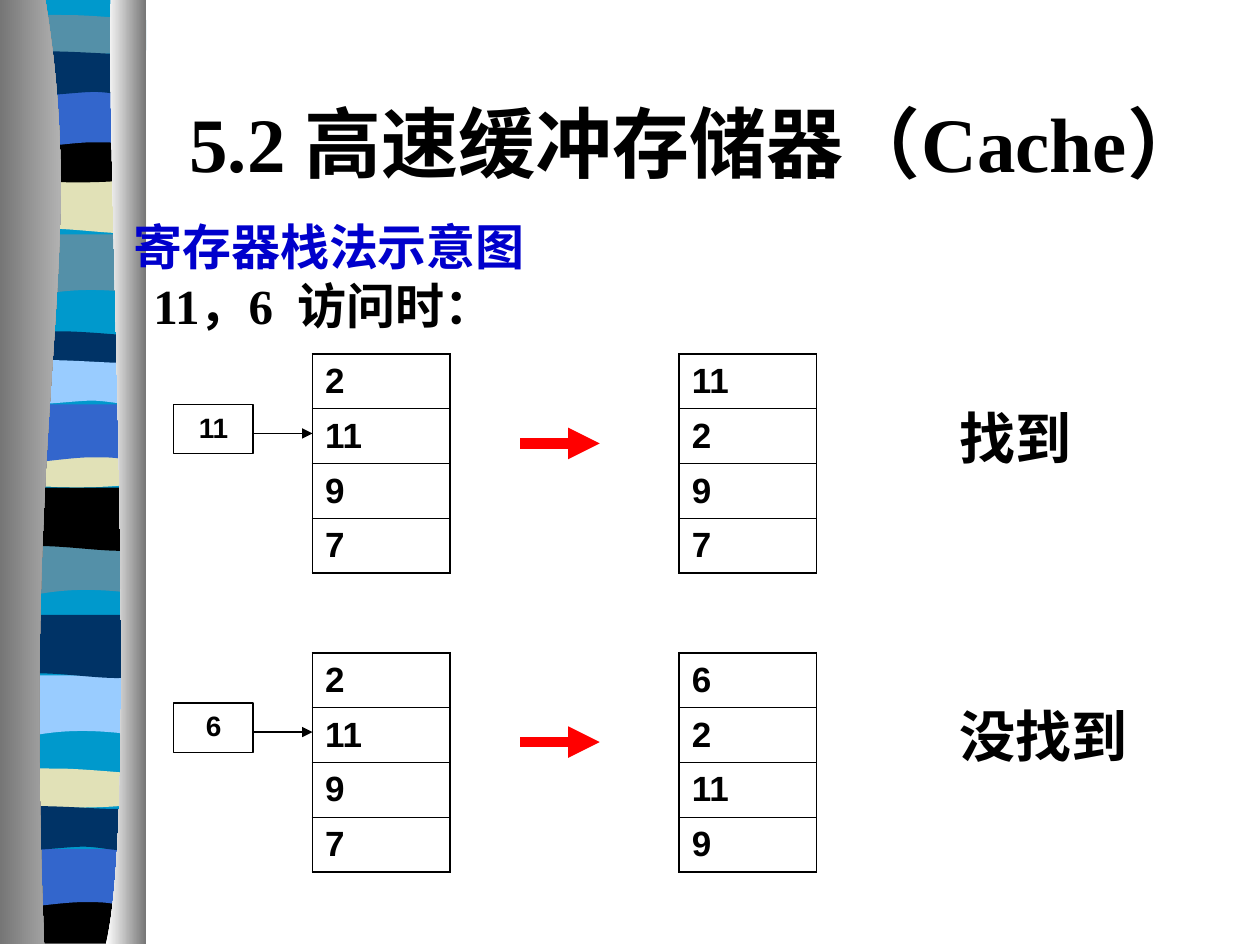
from lxml.etree import Element, SubElement
from pptx import Presentation
from pptx.dml.color import RGBColor as RGB
from pptx.enum.shapes import MSO_CONNECTOR as CONNECTOR, MSO_SHAPE as SHAPE
from pptx.enum.text import MSO_ANCHOR as ANCHOR, PP_ALIGN as ALIGN
from pptx.oxml.ns import qn
from pptx.util import Inches, Pt

THEME = {
    "ink": "000000", "heading": "0000CC", "arrow": "FF0000",
    "aqua": "0099CC", "steel": "5490A8", "sand": "E1E1B7", "black": "000000",
    "blue": "3366CC", "navy": "003366", "sky": "99CCFF",
    "shade": "767676", "glow": "D0D0D0", "light": "FFFFFF",
    "serif": "Times New Roman", "sans": "Arial",
    "title": 44, "subtitle": 28, "verdict": 32, "entry": 20, "request": 16,
}

TITLE = "5.2 高速缓冲存储器（Cache）"
SUBTITLE = [("寄存器栈法示意图", "heading", 0), ("11，6  访问时：", "ink", 0.16)]
ACCESSES = [
    {"request": "11", "before": ["2", "11", "9", "7"],
     "after": ["11", "2", "9", "7"], "verdict": "找到"},
    {"request": "6", "before": ["2", "11", "9", "7"],
     "after": ["6", "2", "11", "9"], "verdict": "没找到"},
]

MOTIFS = {
    "wave": [(1, 0), (1, .47), (.31, .38, .17, .54, 0, .47), (0, 0)],
    "swell": [(1, 0), (1, .48), (.83, .55, .3, .42, 0, .48), (0, 0)],
    "lens": [(1, 0), (1, .24), (.83, .28, .16, .28, 0, .24), (0, 0),
             (.06, -.05, .21, -.04, .38, -.04), (.55, -.04, .86, -.01, 1, 0)],
    "bowl": [(1, 0), (1, .33), (.83, .38, .17, .38, 0, .33), (0, 0),
             (.61, .05, .79, 0, 1, 0)],
    "arch": [(1, 0), (1, .47), (.85, .42, .78, .42, .62, .42),
             (.45, .42, .16, .47, 0, .47), (0, 0)],
    "ripple": [(1, 0), (1, .3), (.94, .36, .78, .3, .62, .3),
               (.45, .3, .11, .36, 0, .3), (0, 0), (.15, -.05, .68, 0, .85, 0),
               (1.01, 0, .97, 0, 1, 0)],
    "floor": [(1, 0), (1, .37), (0, .37), (0, 0), (.61, .05, .79, 0, 1, 0)],
}
BANDS = [
    ("wave", .12, 1.86, "steel"), ("swell", .16, 1.35, "sand"),
    ("lens", .16, .16, "steel"), ("bowl", .12, 1.08, "black"),
    ("arch", .12, .71, "blue"), ("ripple", .13, .43, "navy"),
    ("wave", .08, 4.24, "steel"), ("swell", .11, 3.87, "black"),
    ("lens", .11, 2.67, "navy"), ("bowl", .11, 3.5, "sand"),
    ("arch", .11, 3.21, "blue"), ("ripple", .11, 2.88, "sky"),
    ("wave", .05, 5.36, "sky"), ("swell", .09, 4.88, "navy"),
    ("lens", .08, 6.14, "sand"), ("floor", .08, 7.12, "black"),
    ("arch", .04, 6.74, "blue"), ("ripple", .04, 6.42, "navy"),
]
DRAPES = [
    ([(.36, 0), (.71, 2.16, .17, 2.96, .35, 7.49), (0, 7.49), (0, 0)],
     ("shade", "glow")),
    ([(.88, 0), (.84, 1.25, 1.11, 6.46, .84, 7.49), (1.16, 7.49), (1.16, 0)],
     ("light", "shade")),
]

FIRST_TOP, ACCESS_STEP = 2.81, 2.37
STACK_WIDTH, STACK_HEIGHT = 1.09, 1.74
BEFORE_LEFT, AFTER_LEFT = 2.48, 5.39
REQUEST_LEFT, REQUEST_WIDTH = 1.38, 0.63


def color(name):
    return RGB.from_string(THEME[name])


def box(*lengths):
    return [Inches(length) for length in lengths]


def write(paragraph, text, size, font, ink="ink", align=ALIGN.LEFT):
    paragraph.alignment = align
    run = paragraph.add_run()
    run.text = text
    style = {"name": THEME[font], "size": Pt(THEME[size]), "bold": True}
    for key, value in style.items():
        setattr(run.font, key, value)
    run.font.color.rgb = color(ink)


def bend(outlined, segments):
    lines = iter(list(outlined._element.iter(qn("a:lnTo"))))
    for segment in segments:
        legs = [next(lines) for _ in range(len(segment) // 2)]
        if len(legs) == 3:
            curve = Element(qn("a:cubicBezTo"))
            legs[0].addprevious(curve)
            for leg in legs:
                curve.append(leg[0])
                leg.getparent().remove(leg)


def add_outline(slide, outline, left=0, top=0):
    points = [box(left + x, top + y) for segment in outline
              for x, y in zip(segment[::2], segment[1::2])]
    builder = slide.shapes.build_freeform(*points[0])
    builder.add_line_segments(points[1:], close=True)
    outlined = builder.convert_to_shape()
    bend(outlined, outline[1:])
    outlined.shadow.inherit = False
    outlined.line.fill.background()
    return outlined


def add_ribbon(slide):
    backing = slide.shapes.add_shape(SHAPE.RECTANGLE, *box(.13, 0, .99, 7.46))
    backing.shadow.inherit = False
    backing.line.fill.background()
    backing.fill.solid()
    backing.fill.fore_color.rgb = color("aqua")
    for motif, left, top, shade in BANDS:
        band = add_outline(slide, MOTIFS[motif], left, top)
        band.fill.solid()
        band.fill.fore_color.rgb = color(shade)
    for outline, shades in DRAPES:
        drape = add_outline(slide, outline)
        drape.fill.gradient()
        drape.fill.gradient_angle = 0
        for stop, shade in zip(drape.fill.gradient_stops, shades):
            stop.color.rgb = color(shade)


def add_text_frame(slide, area, anchor):
    frame = slide.shapes.add_textbox(*box(*area)).text_frame
    frame.word_wrap = True
    frame.vertical_anchor = anchor
    return frame


def add_border(cell, side, width):
    border = SubElement(cell._tc.get_or_add_tcPr(), qn(f"a:ln{side}"), w=str(Pt(width)))
    fill = SubElement(border, qn("a:solidFill"))
    SubElement(fill, qn("a:srgbClr"), val=THEME["ink"])


def add_stack(slide, entries, left, top):
    area = box(left, top, STACK_WIDTH, STACK_HEIGHT)
    stack = slide.shapes.add_table(len(entries), 1, *area).table
    for flag in ("first_row", "horz_banding"):
        setattr(stack, flag, False)
    for index, entry in enumerate(entries):
        cell = stack.cell(index, 0)
        cell.vertical_anchor = ANCHOR.MIDDLE
        widths = {"L": 1.08, "R": 1.08, "T": 1.08 if index == 0 else 0.45,
                  "B": 1.08 if index == len(entries) - 1 else 0.45}
        for side, width in widths.items():
            add_border(cell, side, width)
        cell.fill.background()
        write(cell.text_frame.paragraphs[0], entry, "entry", "sans")


def add_arrow(slide, start, end, y, ink, width):
    arrow = slide.shapes.add_connector(CONNECTOR.STRAIGHT, *box(start, y, end, y))
    arrow.line.color.rgb = color(ink)
    arrow.line.width = Pt(width)
    SubElement(arrow.line._get_or_add_ln(), qn("a:tailEnd"), type="triangle")
    SubElement(arrow._element.spPr, qn("a:effectLst"))


def add_request(slide, text, top):
    request = slide.shapes.add_shape(
        SHAPE.RECTANGLE, *box(REQUEST_LEFT, top, REQUEST_WIDTH, 0.39))
    request.shadow.inherit = False
    request.fill.background()
    request.line.color.rgb = color("ink")
    request.line.width = Pt(0.75)
    request.text_frame.word_wrap = False
    request.text_frame.vertical_anchor = ANCHOR.MIDDLE
    paragraph = request.text_frame.paragraphs[0]
    paragraph.line_spacing = 0.9
    write(paragraph, text, "request", "sans", align=ALIGN.CENTER)


def add_access(slide, access, top):
    add_stack(slide, access["before"], BEFORE_LEFT, top)
    add_request(slide, access["request"], top + 0.4)
    add_arrow(slide, REQUEST_LEFT + REQUEST_WIDTH, BEFORE_LEFT, top + 0.63, "ink", 0.75)
    add_stack(slide, access["after"], AFTER_LEFT, top)
    add_arrow(slide, 4.13, 4.76, top + 0.71, "arrow", 6)
    verdict = add_text_frame(slide, (7.52, top + 0.4, 1.58, 0.58), ANCHOR.TOP)
    verdict.paragraphs[0].line_spacing = 0.9
    write(verdict.paragraphs[0], access["verdict"], "verdict", "sans")


def main():
    deck = Presentation()
    deck.slide_width, deck.slide_height = box(10, 7.5)
    slide = deck.slides.add_slide(deck.slide_layouts[6])
    add_ribbon(slide)
    title = add_text_frame(slide, (1.28, 0.5, 8.5, 1.25), ANCHOR.MIDDLE)
    write(title.paragraphs[0], TITLE, "title", "serif", align=ALIGN.CENTER)
    subtitle = add_text_frame(slide, (0.96, 1.56, 8.75, 1.25), ANCHOR.MIDDLE)
    for index, (text, ink, indent) in enumerate(SUBTITLE):
        paragraph = subtitle.add_paragraph() if index else subtitle.paragraphs[0]
        paragraph._p.get_or_add_pPr().set("marL", str(Inches(indent)))
        write(paragraph, text, "subtitle", "serif", ink)
    for index, access in enumerate(ACCESSES):
        add_access(slide, access, FIRST_TOP + index * ACCESS_STEP)
    deck.save("out.pptx")


if __name__ == "__main__":
    main()
